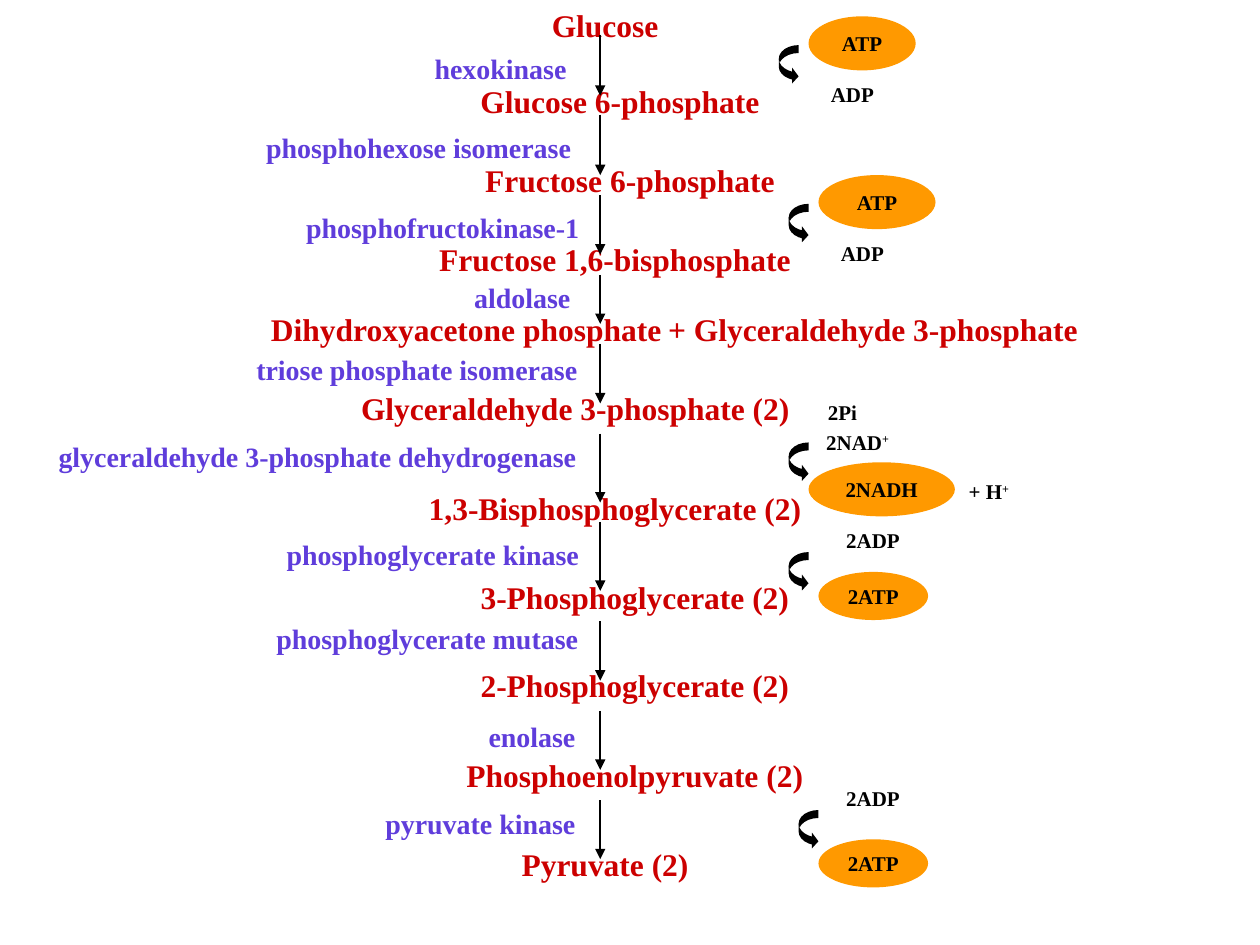
from lxml import etree
from pptx import Presentation
from pptx.dml.color import RGBColor
from pptx.enum.shapes import MSO_CONNECTOR, MSO_SHAPE
from pptx.enum.text import MSO_ANCHOR, MSO_AUTO_SIZE, PP_ALIGN
from pptx.oxml.ns import qn
from pptx.util import Cm, Pt

STRAIGHT = MSO_CONNECTOR.STRAIGHT
OVAL = MSO_SHAPE.OVAL
CURVED_ARROW = MSO_SHAPE.CURVED_RIGHT_ARROW
MIDDLE = MSO_ANCHOR.MIDDLE
GROW = MSO_AUTO_SIZE.SHAPE_TO_FIT_TEXT
CENTER = PP_ALIGN.CENTER

RED = RGBColor(0xCC, 0x00, 0x00)
VIOLET = RGBColor(0x5F, 0x3D, 0xDB)
ORANGE = RGBColor(0xFF, 0x99, 0x00)
BLACK = RGBColor(0x00, 0x00, 0x00)
FONT = "Times New Roman"
PATHWAY_X = 12.1

METABOLITES = [
    ("Glucose", 9.3, 0, 5.8),
    ("Glucose 6-phosphate", 7.1, 1.52, 10.8),
    ("Fructose 6-phosphate", 7.3, 3.12, 10.8),
    ("Fructose 1,6-bisphosphate", 6.6, 4.72, 11.6),
    ("Dihydroxyacetone phosphate", 1.3, 6.12, 16.2),
    ("+ Glyceraldehyde 3-phosphate", 11.1, 6.12, 13),
    ("Glyceraldehyde 3-phosphate (2)", 5.1, 7.72, 13),
    ("1,3-Bisphosphoglycerate (2)", 5.9, 9.73, 13),
    ("3-Phosphoglycerate (2)", 6.3, 11.53, 13),
    ("2-Phosphoglycerate (2)", 6.3, 13.31, 13),
    ("Phosphoenolpyruvate (2)", 6.3, 15.11, 13),
    ("Pyruvate (2)", 5.7, 16.92, 13),
]
ENZYMES = [
    ("hexokinase", 8.5, 0.91, 3.18),
    ("phosphohexose isomerase", 5.1, 2.51, 6.68),
    ("phosphofructokinase-1", 5.9, 4.11, 6.05),
    ("aldolase", 9.3, 5.54, 2.46),
    ("triose phosphate isomerase", 4.9, 6.98, 7.01),
    ("glyceraldehyde 3-phosphate dehydrogenase", 0.9, 8.74, 11),
    ("phosphoglycerate kinase", 5.5, 10.72, 6.45),
    ("phosphoglycerate mutase", 5.3, 12.4, 6.63),
    ("enolase", 7.5, 14.38, 6.45),
    ("pyruvate kinase", 7.5, 16.13, 4.37),
]
STEPS = [
    (0.7, 1.93), (2.31, 3.53), (3.94, 5.13), (5.54, 6.53), (6.93, 8.13),
    (8.74, 10.13), (10.52, 11.91), (12.52, 13.72), (14.33, 15.52), (16.13, 17.32),
]
COFACTORS = [
    ("ADP", "", 16.5, 1.52, 1.37),
    ("ADP", "", 16.7, 4.72, 1.37),
    ("2Pi", "", 16.3, 7.92, 1.37),
    ("2NAD", "+", 16.3, 8.53, 1.98),
    ("+ H", "+", 19.25, 9.53, 1.37),
    ("2ADP", "", 16.7, 10.52, 1.8),
    ("2ADP", "", 16.7, 15.72, 1.8),
]
CARRIERS = [
    ("ATP", 16.3, 0.33, 2.16, 1.09),
    ("ATP", 16.5, 3.53, 2.36, 1.09),
    ("2NADH", 16.3, 9.32, 2.95, 1.09),
    ("2ATP", 16.5, 11.53, 2.21, 0.97),
    ("2ATP", 16.5, 16.92, 2.21, 0.97),
]
TURNOVERS = [(15.7, 0.91), (15.9, 4.11), (15.9, 8.92), (15.9, 11.13), (16.1, 16.33)]


def write_text(frame, text, size, color, superscript=""):
    frame.word_wrap = False
    para = frame.paragraphs[0]
    para.text = text
    para.alignment = CENTER
    if superscript:
        span = para.add_run()
        span.text = superscript
        span._r.get_or_add_rPr().set("baseline", "30000")
    for span in para.runs:
        span.font.name = FONT
        span.font.size = Pt(size)
        span.font.bold = True
        span.font.color.rgb = color


def add_label(page, text, left, top, width, height, size, color, superscript=""):
    box = page.shapes.add_textbox(Cm(left), Cm(top), Cm(width), Cm(height))
    write_text(box.text_frame, text, size, color, superscript)
    box.text_frame.auto_size = GROW


def add_solid(page, kind, left, top, width, height, color):
    shape = page.shapes.add_shape(kind, Cm(left), Cm(top), Cm(width), Cm(height))
    shape.shadow.inherit = False
    shape.fill.solid()
    shape.fill.fore_color.rgb = color
    shape.line.fill.background()
    return shape


def add_carrier(page, text, left, top, width, height):
    oval = add_solid(page, OVAL, left, top, width, height, ORANGE)
    write_text(oval.text_frame, text, 12, BLACK)
    oval.text_frame.vertical_anchor = MIDDLE


def add_turnover(page, left, top):
    arrow = add_solid(page, CURVED_ARROW, left, top, 0.4, 0.79, BLACK)
    for index, value in enumerate((0.4, 0.8, 0.33)):
        arrow.adjustments[index] = value


def add_step(page, top, bottom):
    arrow = page.shapes.add_connector(
        STRAIGHT, Cm(PATHWAY_X), Cm(top), Cm(PATHWAY_X), Cm(bottom)
    )
    arrow.line.color.rgb = BLACK
    arrow.line.width = Pt(1)
    outline = arrow.line._get_or_add_ln()
    etree.SubElement(outline, qn("a:tailEnd"), type="triangle")
    etree.SubElement(arrow._element.spPr, qn("a:effectLst"))


def main():
    deck = Presentation()
    deck.slide_width = Cm(25.4)
    deck.slide_height = Cm(19.05)
    page = deck.slides.add_slide(deck.slide_layouts[6])
    for text, left, top, width in METABOLITES:
        add_label(page, text, left, top, width, 1.02, 18, RED)
    for top, bottom in STEPS:
        add_step(page, top, bottom)
    for text, left, top, width in ENZYMES:
        add_label(page, text, left, top, width, 0.94, 16, VIOLET)
    for carrier in CARRIERS:
        add_carrier(page, *carrier)
    for text, superscript, left, top, width in COFACTORS:
        add_label(page, text, left, top, width, 0.76, 12, BLACK, superscript)
    for left, top in TURNOVERS:
        add_turnover(page, left, top)
    deck.save("out.pptx")


if __name__ == "__main__":
    main()
